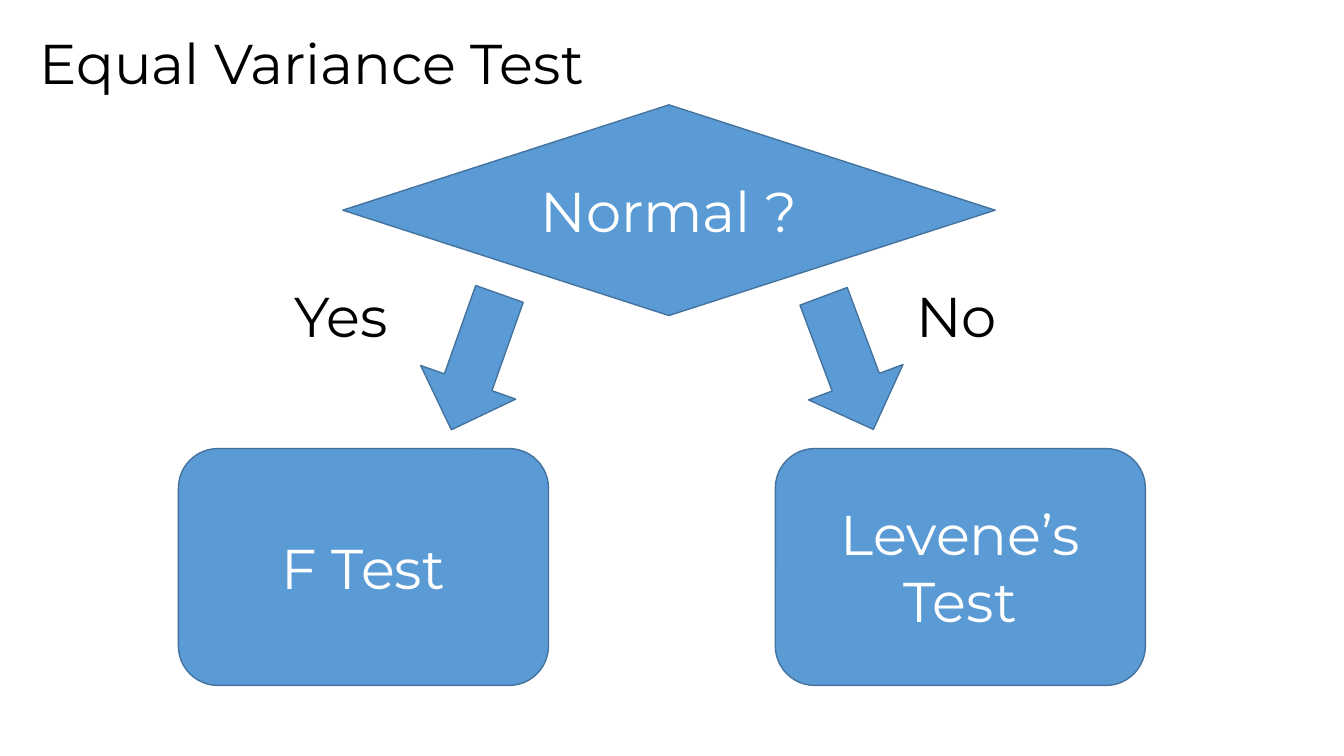
from dataclasses import dataclass

from pptx import Presentation
from pptx.dml.color import RGBColor
from pptx.enum.shapes import MSO_SHAPE
from pptx.enum.text import MSO_ANCHOR, MSO_AUTO_SIZE, PP_ALIGN
from pptx.util import Inches, Pt

DECISION = MSO_SHAPE.FLOWCHART_DECISION
PROCESS = MSO_SHAPE.FLOWCHART_ALTERNATE_PROCESS
ARROW = MSO_SHAPE.RIGHT_ARROW
MIDDLE = MSO_ANCHOR.MIDDLE
CENTER = PP_ALIGN.CENTER
LEFT = PP_ALIGN.LEFT
GROW = MSO_AUTO_SIZE.SHAPE_TO_FIT_TEXT


@dataclass(frozen=True)
class Theme:
    """Colours, font and sizes of the slide."""
    fill: RGBColor = RGBColor(0x5B, 0x9B, 0xD5)
    line: RGBColor = RGBColor(0x43, 0x73, 0x9E)
    light: RGBColor = RGBColor(0xFF, 0xFF, 0xFF)
    dark: RGBColor = RGBColor(0x00, 0x00, 0x00)
    font: str = "Montserrat"
    text_size: Pt = Pt(40)
    line_width: Pt = Pt(1)


THEME = Theme()


def write(tf, text, color, align):
    """Put one styled paragraph in a text frame."""
    tf.word_wrap = True
    tf.text = text
    p = tf.paragraphs[0]
    p.alignment = align
    r = p.runs[0]
    r.font.name = THEME.font
    r.font.size = THEME.text_size
    r.font.color.rgb = color


def add_block(s, kind, left, top, width, height):
    """Add a filled and outlined preset shape."""
    sp = s.shapes.add_shape(kind, Inches(left), Inches(top), Inches(width), Inches(height))
    sp.shadow.inherit = False
    sp.fill.solid()
    sp.fill.fore_color.rgb = THEME.fill
    sp.line.color.rgb = THEME.line
    sp.line.width = THEME.line_width
    return sp


def add_node(s, kind, text, left, top, width, height):
    """Add a flowchart node with centred text."""
    sp = add_block(s, kind, left, top, width, height)
    sp.text_frame.vertical_anchor = MIDDLE
    write(sp.text_frame, text, THEME.light, CENTER)


def add_arrow(s, left, top, width, rotation):
    """Add a block arrow turned clockwise by the given degrees."""
    sp = add_block(s, ARROW, left, top, width, 1)
    sp.rotation = rotation


def add_label(s, text, left, top, width):
    """Add a line of plain text."""
    sp = s.shapes.add_textbox(Inches(left), Inches(top), Inches(width), Inches(0.77))
    sp.text_frame.auto_size = GROW
    write(sp.text_frame, text, THEME.dark, LEFT)


def main():
    """Build the decision slide and save it."""
    prs = Presentation()
    prs.slide_width = Inches(13.33)
    prs.slide_height = Inches(7.5)
    s = prs.slides.add_slide(prs.slide_layouts[6])

    add_node(s, DECISION, "Normal ?", 3.4, 1.04, 6.47, 2.09)
    add_arrow(s, 4, 3.09, 1.43, 109.5)
    add_arrow(s, 7.71, 3.1, 1.41, 69.5)
    add_label(s, "Yes", 2.82, 2.74, 1.3)
    add_label(s, "No", 8.99, 2.74, 1.9)
    for text, left in (("F Test", 1.77), ("Levene’s Test", 7.69)):
        add_node(s, PROCESS, text, left, 4.45, 3.67, 2.35)
    add_label(s, "Equal Variance Test", 0.29, 0.23, 6.34)

    prs.save("out.pptx")


if __name__ == "__main__":
    main()
